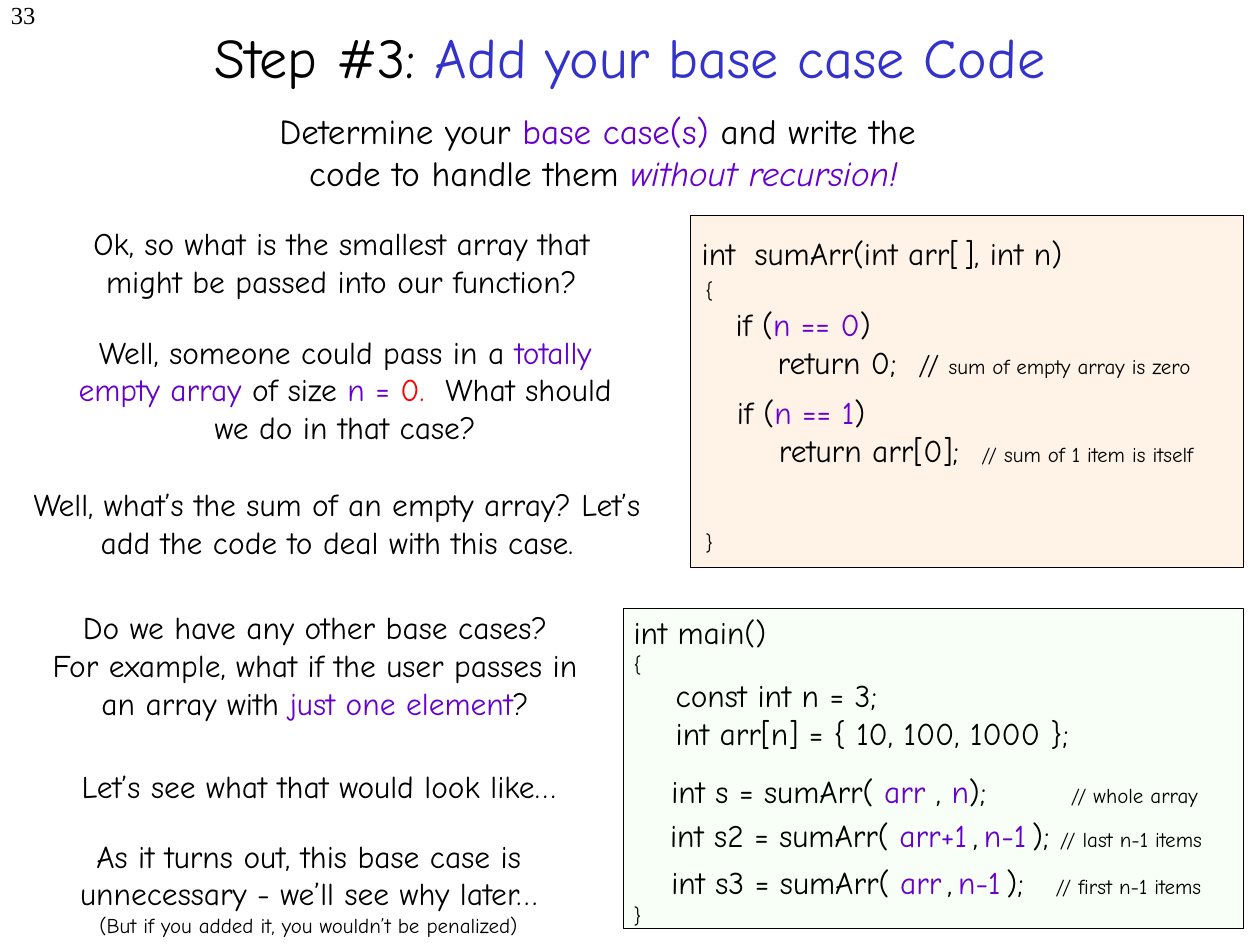
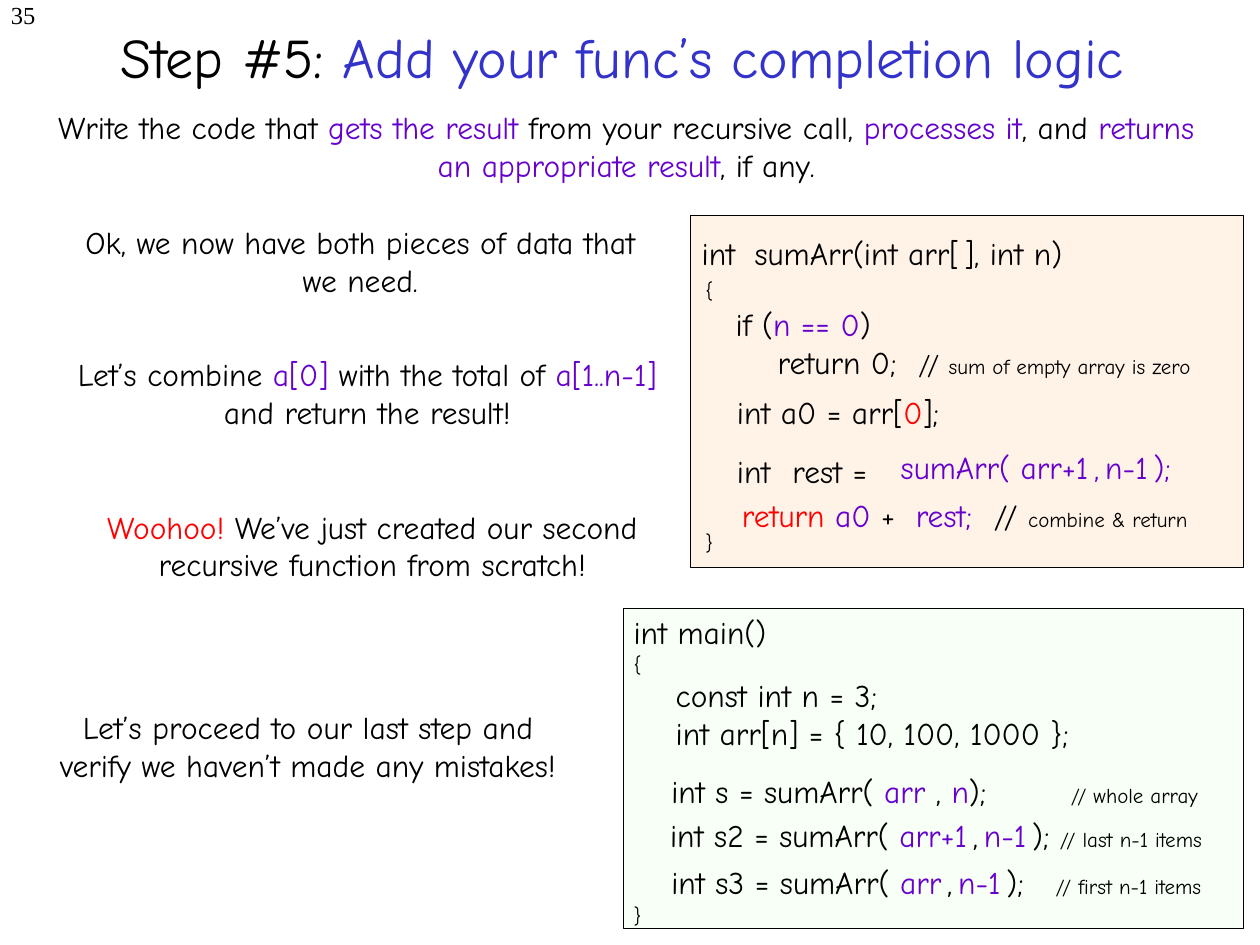
from dataclasses import dataclass
from typing import Any, NamedTuple

from lxml import etree
from pptx import Presentation
from pptx.dml.color import RGBColor
from pptx.enum import shapes, text
from pptx.oxml.ns import qn
from pptx.util import Emu, Inches, Pt


# Theme and grid
@dataclass(frozen=True)
class Theme:
    font: str = "Comic Neue"
    number_font: str = "Times New Roman"
    ink: str = "000000"
    title_accent: str = "3333CC"
    accent: str = "6600CC"
    alert: str = "FF0000"
    function_fill: str = "FFF3E7"
    main_fill: str = "F7FFF7"
    title: float = 32
    lead: float = 20
    body: float = 18
    slash: float = 16
    number: float = 14
    small: float = 12
    thin: float = 10
    hair: float = 8
    panel_line: float = 0.25


THEME = Theme()
WIDTH, HEIGHT = Inches(10), Inches(7.5)
COLUMNS, ROWS = 100, 75
LEFT, CENTER, RIGHT = text.PP_ALIGN.LEFT, text.PP_ALIGN.CENTER, text.PP_ALIGN.RIGHT


class Area(NamedTuple):
    column: float
    row: float
    columns: float
    rows: float

    def box(self) -> tuple[Emu, Emu, Emu, Emu]:
        across, down = WIDTH / COLUMNS, HEIGHT / ROWS
        return (Emu(round(self.column * across)), Emu(round(self.row * down)),
                Emu(round(self.columns * across)), Emu(round(self.rows * down)))


# Text parts
class Run(NamedTuple):
    text: str
    color: str = THEME.ink
    size: float = THEME.body
    italic: bool = False
    font: str = THEME.font


class Line(NamedTuple):
    runs: list[Run]
    before: float = 0
    tabs: tuple[float, ...] = ()    # grid columns from the text edge


class Block(NamedTuple):
    area: Area
    lines: list[Line]
    align: Any = CENTER


class Step(NamedTuple):
    number: str
    title_area: Area
    title: tuple[str, str]
    blocks: list[Block]


def accent(words: str, size: float = THEME.body, italic: bool = False) -> Run:
    return Run(words, THEME.accent, size, italic)


def alert(words: str) -> Run:
    return Run(words, THEME.alert)


def small(words: str) -> Run:
    return Run(words, size=THEME.small)


def line(*parts: str | Run, before: float = 0, tabs: tuple[float, ...] = ()) -> Line:
    runs = [Run(part) if isinstance(part, str) else part for part in parts]
    return Line(runs, before, tabs)


def prose(area: Area, *parts: str | Run) -> Block:
    return Block(area, [line(*parts)])


def code(area: Area, *lines: Line) -> Block:
    return Block(area, list(lines), LEFT)


# Drawing
def set_all(target: Any, values: dict[str, Any]) -> None:
    for name, value in values.items():
        setattr(target, name, value)


def write_run(paragraph: Any, run: Run) -> None:
    for index, piece in enumerate(run.text.split("\n")):
        if index:
            paragraph.add_line_break()
        added = paragraph.add_run()
        added.text = piece
        set_all(added.font, {"name": run.font, "size": Pt(run.size),
                             "italic": run.italic, "bold": False})
        added.font.color.rgb = RGBColor.from_string(run.color)


def add_tabs(paragraph: Any, tabs: tuple[float, ...]) -> None:
    tab_list = etree.SubElement(paragraph._p.get_or_add_pPr(), qn("a:tabLst"))
    for tab in tabs:
        position = str(round(tab * WIDTH / COLUMNS))
        etree.SubElement(tab_list, qn("a:tab"), pos=position, algn="l")


def write_lines(frame: Any, lines: list[Line], align: Any) -> None:
    for index, content in enumerate(lines):
        paragraph = frame.add_paragraph() if index else frame.paragraphs[0]
        paragraph.alignment = align
        if content.before:
            paragraph.space_before = Pt(content.before)
        if content.tabs:
            add_tabs(paragraph, content.tabs)
        for run in content.runs:
            write_run(paragraph, run)


def add_block(container: Any, block: Block) -> Any:
    frame = container.add_textbox(*block.area.box()).text_frame
    frame.word_wrap = True
    write_lines(frame, block.lines, block.align)
    return frame


def add_panel(container: Any, area: Area, fill: str) -> None:
    panel = container.add_shape(shapes.MSO_SHAPE.RECTANGLE, *area.box())
    panel.shadow.inherit = False
    panel.fill.solid()
    panel.fill.fore_color.rgb = RGBColor.from_string(fill)
    panel.line.color.rgb = RGBColor.from_string(THEME.ink)
    panel.line.width = Pt(THEME.panel_line)


def add_title(slide: Any, step: Step) -> None:
    title = slide.shapes.title
    set_all(title, dict(zip(("left", "top", "width", "height"), step.title_area.box())))
    frame = title.text_frame
    set_all(frame, {"word_wrap": True, "auto_size": text.MSO_AUTO_SIZE.NONE,
                    "vertical_anchor": text.MSO_ANCHOR.MIDDLE})
    label, topic = step.title
    write_lines(frame, [line(Run(label, size=THEME.title),
                             Run(topic, THEME.title_accent, THEME.title))], CENTER)


def add_number(slide: Any, number: str) -> None:
    run = Run(number, size=THEME.number, font=THEME.number_font)
    frame = add_block(slide.shapes, Block(Area(0, 0, 3.8, 3), [line(run)], RIGHT))
    set_all(frame, {"margin_left": 0, "margin_top": 0})


# Code shared by the slides
THIN = Run(" ", size=THEME.thin)
HAIR = Run(" ", size=THEME.hair)

FUNCTION_CODE = [
    code(Area(55, 21.5, 24.9, 23), line(small("{")), line(small("}"), before=129.6)),
    code(Area(54.7, 18.1, 44.2, 4),
         line("int\tsumArr(int arr[", HAIR, "], int n)", tabs=(4.2,))),
    code(Area(57.4, 23.7, 42.5, 7),
         line("if (", accent("n == 0"), ")"),
         line("    return 0;\t", Run("// ", size=THEME.slash),
              small("sum of empty array is zero"), tabs=(14.5,))),
]

MAIN_CODE = [
    code(Area(49.3, 48.2, 50.7, 26),
         line("int main()"), line(small("{")), line("    const int n = 3;"),
         line("    int arr[n] = { 10, 100, 1000 };"), line(small("}"), before=86)),
    code(Area(52.3, 60.8, 46, 4),
         line("int s = sumArr( ", accent("arr"), " , ", accent("n"), ");\t",
              small("// whole array"), tabs=(31.7,))),
    code(Area(52.2, 64.3, 47, 4),
         line("int s2 = sumArr( ", accent("arr+1"), THIN, ",", THIN, accent("n-1"),
              THIN, "); ", small("// last n-1 items"))),
    code(Area(52.3, 68, 47, 4),
         line("int s3 = sumArr( ", accent("arr"), THIN, ",", THIN, accent("n-1"),
              THIN, ");\t", small("// first n-1 items"), tabs=(30.5,))),
]

# Slide content
BASE_CASE = Step("33", Area(7.5, 0, 85, 8.9), ("Step #3: ", "Add your base case Code"), [
    prose(Area(16.7, 8.2, 62.4, 7.7),
          Run("Determine your ", size=THEME.lead), accent("base case(s)", THEME.lead),
          Run(" and write the \ncode to handle them ", size=THEME.lead),
          accent("without recursion!", THEME.lead, italic=True)),
    prose(Area(3.3, 17.3, 47.6, 7),
          "Ok, so what is the smallest array that might be passed into our function?"),
    prose(Area(3.6, 25.9, 47.6, 10),
          "Well, someone could pass in a ", accent("totally empty array"), " of size ",
          accent("n = "), alert("0.  "), "What should we do in that case?"),
    prose(Area(1.4, 38, 50.7, 7),
          "Well, what’s the sum of an empty array? Let’s add the code to deal "
          "with this case."),
    Block(Area(1.9, 47.8, 46.2, 10), [
        line("Do we have any other base cases?"),
        line("For example, what if the user passes in an array with ",
             accent("just one element"), "?")]),
    prose(Area(2.7, 60.4, 45.2, 4), "Let’s see what that would look like…"),
    Block(Area(1.9, 65.9, 45.2, 9), [
        line("As it turns out, this base case is unnecessary - we’ll see why later…"),
        line(small("(But if you added it, you wouldn’t be penalized)"))]),
    code(Area(57.5, 30.7, 42.5, 7),
         line("if (", accent("n == 1"), ")"),
         line("    return arr[0];\t", small("// sum of 1 item is itself"), tabs=(19.4,))),
])

COMPLETION = Step("35", Area(4.4, 0, 90, 8.9),
                  ("Step #5: ", "Add your func’s completion logic"), [
    prose(Area(2.8, 8.1, 93.8, 7),
          "Write the code that ", accent("gets the result"),
          " from your recursive call, ", accent("processes it"), ", and ",
          accent("returns an appropriate result"), ", if any."),
    prose(Area(4.8, 17.2, 47.6, 7), "Ok, we now have both pieces of data that we need."),
    prose(Area(4.5, 27.7, 49.3, 7),
          "Let’s combine ", accent("a[0]"), " with the total of ", accent("a[1..n-1]"),
          " and return the result!"),
    prose(Area(4.9, 39.8, 49.3, 7),
          alert("Woohoo!"),
          " We’ve just created our second recursive function from scratch!"),
    prose(Area(2.8, 55.7, 43.3, 10),
          "Let’s proceed to our last step and verify we haven’t made any mistakes!"),
    code(Area(57.5, 30.7, 42.5, 8.7),
         line("int a0 = arr[", alert("0"), "];"),
         line("int\trest =", before=12, tabs=(4.4,))),
    code(Area(70.5, 35.1, 25.5, 4),
         line(accent("sumArr( arr+1"), accent(" ", THEME.thin), accent(","),
              accent(" ", THEME.thin), accent("n-1"), accent(" ", THEME.thin),
              accent(");"))),
    code(Area(57.9, 38.9, 40.5, 4),
         line(alert("return"), accent(" a0 "), "+\t", accent("rest;\t"), "// ",
              small("combine & return"), tabs=(13.8, 20))),
])


def add_step(presentation: Any, step: Step) -> None:
    slide = presentation.slides.add_slide(presentation.slide_layouts[5])
    add_title(slide, step)
    add_number(slide, step.number)
    add_panel(slide.shapes, Area(54.8, 17.1, 43.9, 27.9), THEME.function_fill)
    main_group = slide.shapes.add_group_shape().shapes
    add_panel(main_group, Area(49.5, 48.3, 49.2, 25.4), THEME.main_fill)
    for block in MAIN_CODE:
        add_block(main_group, block)
    for block in FUNCTION_CODE + step.blocks:
        add_block(slide.shapes, block)


def main() -> None:
    presentation = Presentation()
    set_all(presentation, {"slide_width": WIDTH, "slide_height": HEIGHT})
    for step in (BASE_CASE, COMPLETION):
        add_step(presentation, step)
    presentation.save("out.pptx")


if __name__ == "__main__":
    main()
